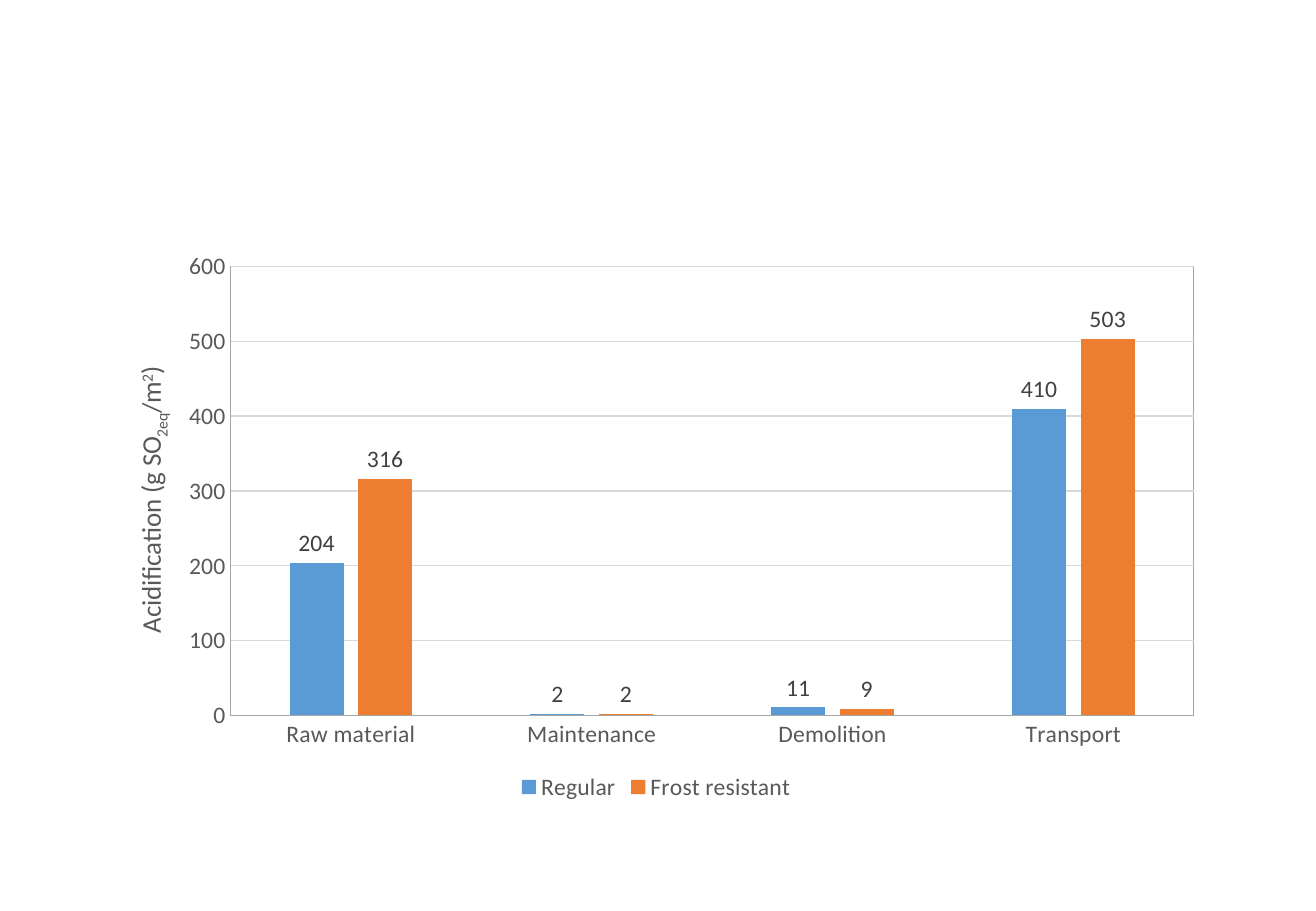
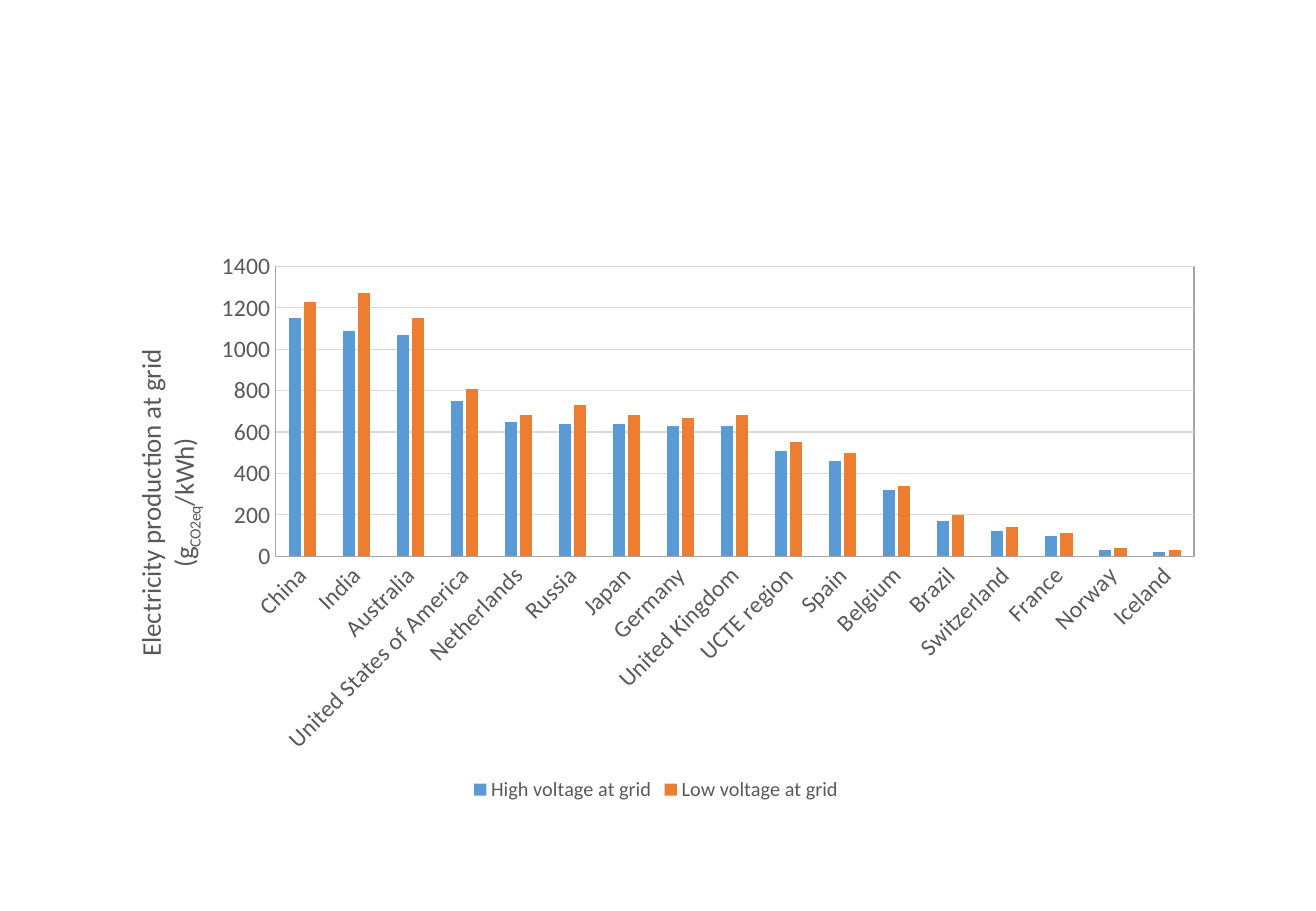
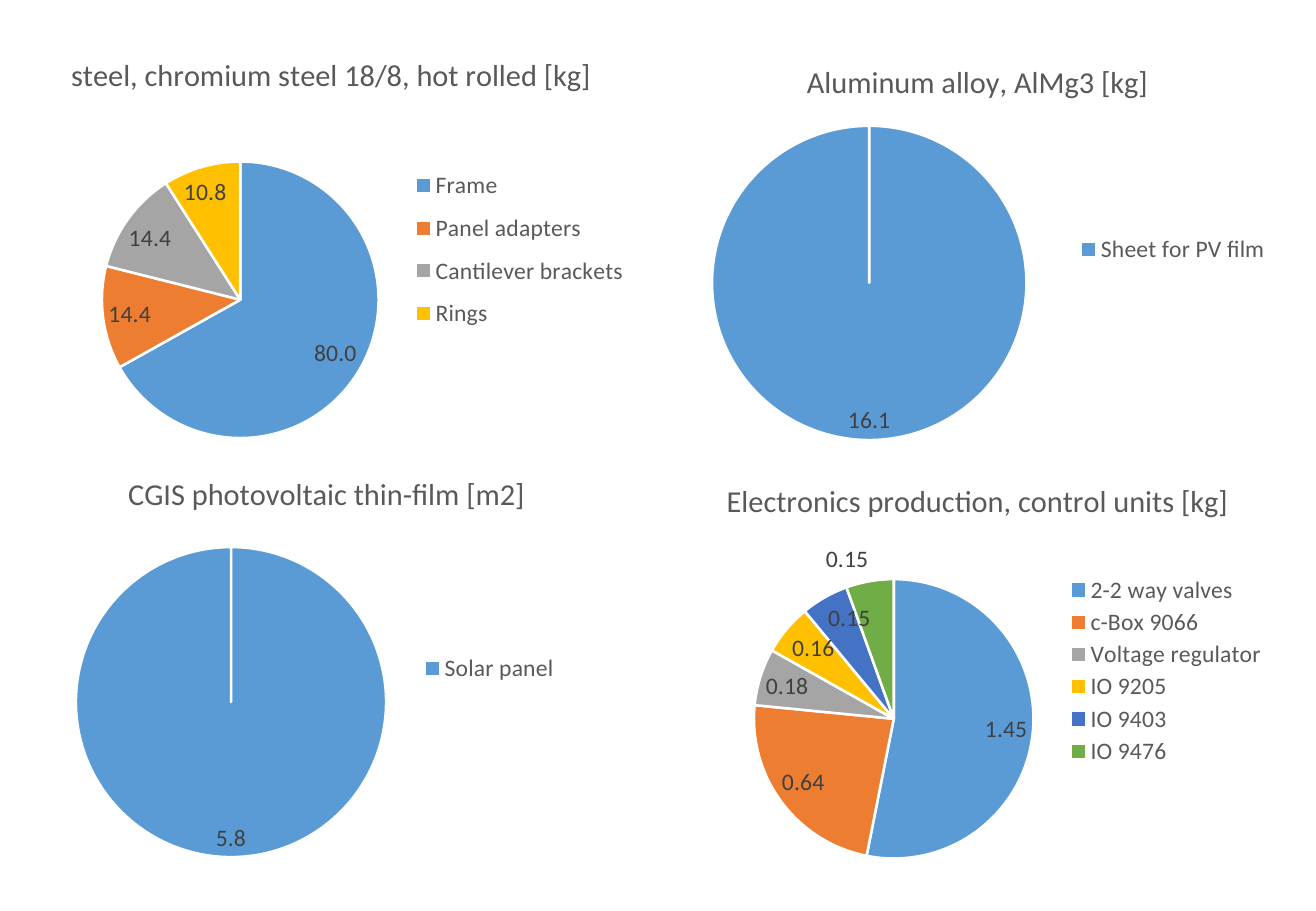
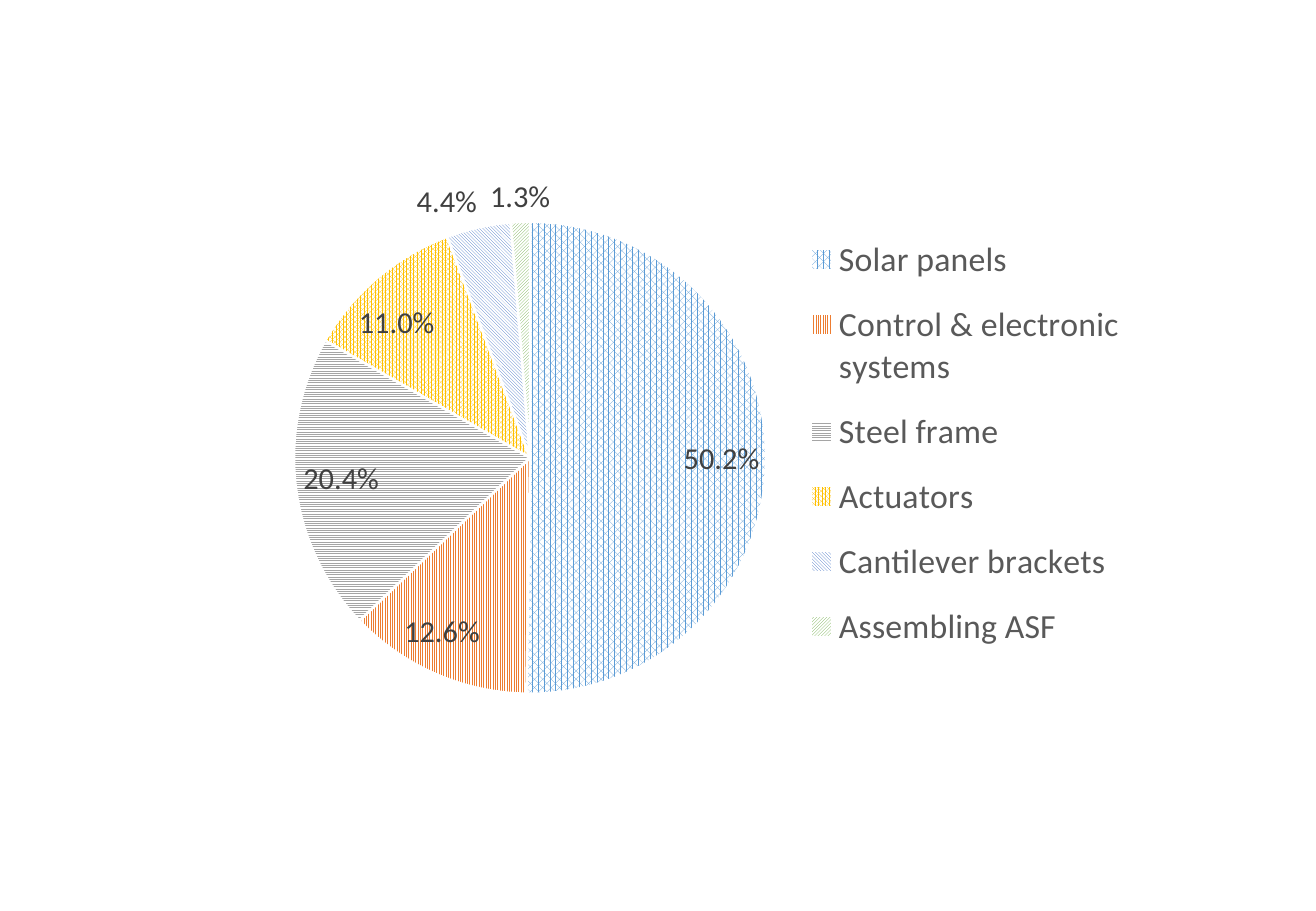
from dataclasses import dataclass

from pptx import Presentation
from pptx.chart.data import CategoryChartData
from pptx.dml.color import RGBColor
from pptx.enum.chart import (
    XL_CHART_TYPE as ChartType,
    XL_LABEL_POSITION as LabelPos,
    XL_LEGEND_POSITION as LegendPos,
    XL_TICK_MARK as Tick,
)
from pptx.enum.dml import MSO_PATTERN as Pattern
from pptx.oxml import parse_xml
from pptx.oxml.ns import nsdecls, qn
from pptx.util import Inches, Pt


@dataclass(frozen=True)
class Theme:
    """Colours, font and type sizes shared by all charts."""

    font: str = "Calibri"
    accents: tuple = ("5B9BD5", "ED7D31", "A5A5A5", "FFC000", "4472C4", "70AD47")
    text: str = "595959"
    label: str = "404040"
    axis: str = "A5A5A5"
    grid: str = "D9D9D9"
    white: str = "FFFFFF"
    base: int = 10
    small: int = 12
    normal: int = 14
    axis_title: int = 16
    title: int = 18
    large: int = 20


THEME = Theme()
SUB, SUP = -25000, 30000
COLUMN_BOX = (0.79, 1.96, 9.22, 4.68)
PATTERNS = (
    Pattern.PERCENT_70, Pattern.NARROW_VERTICAL, Pattern.NARROW_HORIZONTAL,
    Pattern.PERCENT_80, Pattern.DARK_DOWNWARD_DIAGONAL, Pattern.LIGHT_UPWARD_DIAGONAL,
)


def rgb(color):
    """Turn a hex string into a colour."""
    return RGBColor.from_string(color)


def style_font(font, size, color=THEME.text):
    """Set family, size and colour of a font."""
    font.name = THEME.font
    font.size = Pt(size)
    font.bold = False
    font.color.rgb = rgb(color)


def style_line(line, color, width=0.75):
    """Set colour and width of a line."""
    line.color.rgb = rgb(color)
    line.width = Pt(width)


def place(element, x, y, w=None, h=None):
    """Position a chart part by fractions of the chart area."""
    for old in element.findall(qn("c:layout")):
        element.remove(old)
    target = '<c:layoutTarget val="inner"/>' if element.tag == qn("c:plotArea") else ""
    modes = '<c:xMode val="edge"/><c:yMode val="edge"/>'
    sizes = (("x", x), ("y", y), ("w", w), ("h", h))
    values = "".join(f'<c:{k} val="{v}"/>' for k, v in sizes if v is not None)
    layout = parse_xml(
        f'<c:layout {nsdecls("c")}><c:manualLayout>{target}{modes}{values}'
        "</c:manualLayout></c:layout>"
    )
    leading = (qn("c:tx"), qn("c:legendPos"))
    element.insert(sum(child.tag in leading for child in element), layout)


def add_chart(slide, box, kind, cats, series, plot_box):
    """Add a chart in a box of inches and set its plot area."""
    data = CategoryChartData()
    data.categories = cats
    for name, vals in series:
        data.add_series(name, vals)
    chart = slide.shapes.add_chart(kind, *map(Inches, box), data).chart
    style_font(chart.font, THEME.base, "000000")
    chart.has_title = False
    place(chart._chartSpace.chart.plotArea, *plot_box)
    return chart


def add_legend(chart, position, size, box=None):
    """Show the legend, at a fixed place when a box is given."""
    chart.has_legend = True
    chart.legend.position = position
    chart.legend.include_in_layout = False
    style_font(chart.legend.font, size)
    if box:
        place(chart.legend._element, *box)


def add_labels(series, size, position, fmt):
    """Show the values of a series."""
    labels = series.data_labels
    labels.show_value = True
    labels.position = position
    labels.number_format = fmt
    labels.number_format_is_linked = False
    style_font(labels.font, size, THEME.label)


def add_axis_title(axis, lines, x, y):
    """Write a vertical axis title from lines of (text, baseline) runs."""
    axis.has_title = True
    tf = axis.axis_title.text_frame
    tf._txBody.bodyPr.set("rot", "-5400000")
    tf._txBody.bodyPr.set("vert", "horz")
    for i, line in enumerate(lines):
        p = tf.add_paragraph() if i else tf.paragraphs[0]
        for text, baseline in line:
            r = p.add_run()
            r.text = text
            style_font(r.font, THEME.axis_title)
            if baseline:
                r._r.get_or_add_rPr().set("baseline", str(baseline))
    place(axis.axis_title._element, x, y)


def style_axes(chart, top, step):
    """Format both axes, the gridlines and the plot border."""
    for axis in (chart.category_axis, chart.value_axis):
        axis.major_tick_mark = axis.minor_tick_mark = Tick.NONE
        style_font(axis.tick_labels.font, THEME.normal)
        style_line(axis.format.line, THEME.axis)
    axis = chart.value_axis
    axis.minimum_scale, axis.maximum_scale, axis.major_unit = 0, top, step
    axis.has_major_gridlines = True
    style_line(axis.major_gridlines.format.line, THEME.grid)
    chart._chartSpace.chart.plotArea.append(parse_xml(
        f'<c:spPr {nsdecls("c", "a")}><a:noFill/><a:ln w="9525"><a:solidFill>'
        f'<a:srgbClr val="{THEME.axis}"/></a:solidFill></a:ln></c:spPr>'
    ))


def column_chart(slide, box, cats, series, plot_box, scale, title, title_at,
                 legend_size, labels=False, tilt=False):
    """Draw a clustered column chart with a vertical axis title."""
    chart = add_chart(slide, box, ChartType.COLUMN_CLUSTERED, cats, series, plot_box)
    plot = chart.plots[0]
    plot.gap_width, plot.overlap, plot.vary_by_categories = 219, -27, False
    for s, color in zip(plot.series, THEME.accents):
        s.format.fill.solid()
        s.format.fill.fore_color.rgb = rgb(color)
        if labels:
            add_labels(s, THEME.normal, LabelPos.OUTSIDE_END, "General")
    style_axes(chart, *scale)
    if tilt:
        chart.category_axis._element.txPr.bodyPr.set("rot", "-2700000")
    add_axis_title(chart.value_axis, title, *title_at)
    add_legend(chart, LegendPos.BOTTOM, legend_size)


def pie_chart(slide, box, slices, plot_box, legend_box, fmt, title=None, title_x=None,
              label_size=THEME.normal, legend_size=THEME.normal, patterns=None, inside=()):
    """Draw a pie chart with value labels and a legend on the right."""
    chart = add_chart(slide, box, ChartType.PIE, list(slices),
                      [("Series 1", list(slices.values()))], plot_box)
    s = chart.plots[0].series[0]
    for i, color in enumerate(THEME.accents[:len(slices)]):
        look = s.points[i].format
        if patterns:
            look.fill.patterned()
            look.fill.pattern = patterns[i]
            look.fill.back_color.rgb = rgb(THEME.white)
        else:
            look.fill.solid()
        look.fill.fore_color.rgb = rgb(color)
        style_line(look.line, THEME.white, 1.5)
    add_labels(s, label_size, LabelPos.BEST_FIT, fmt)
    for i in inside:
        label = s.points[i].data_label
        style_font(label.font, label_size, THEME.label)
        label.position = LabelPos.INSIDE_END
    if title:
        chart.has_title = True
        r = chart.chart_title.text_frame.paragraphs[0].add_run()
        r.text = title
        style_font(r.font, THEME.title)
        if title_x is not None:
            place(chart.chart_title._element, title_x, 0.02)
    add_legend(chart, LegendPos.RIGHT, legend_size, legend_box)


def acidification_slide(slide):
    """Compare acidification by life cycle stage."""
    column_chart(
        slide, COLUMN_BOX,
        ["Raw material", "Maintenance", "Demolition", "Transport"],
        [("Regular", [204, 2, 11, 410]), ("Frost resistant", [316, 2, 9, 503])],
        (0.12, 0.05, 0.86, 0.79), (600, 100),
        [[("Acidification (g SO", 0), ("2eq", SUB), ("/m", 0), ("2", SUP), (")", 0)]],
        (0.03, 0.22), THEME.normal, labels=True,
    )


def electricity_slide(slide):
    """Compare electricity emissions by country."""
    countries = [
        "China", "India", "Australia", "United States of America", "Netherlands",
        "Russia", "Japan", "Germany", "United Kingdom", "UCTE region", "Spain",
        "Belgium", "Brazil", "Switzerland", "France", "Norway", "Iceland",
    ]
    high = [1150, 1090, 1070, 750, 650, 640, 640, 630, 630,
            510, 460, 320, 170, 120, 100, 30, 20]
    low = [1230, 1270, 1150, 810, 680, 730, 680, 670, 680,
           550, 500, 340, 200, 140, 110, 40, 30]
    column_chart(
        slide, COLUMN_BOX, countries,
        [("High voltage at grid", high), ("Low voltage at grid", low)],
        (0.16, 0.05, 0.82, 0.51), (1400, 200),
        [[("Electricity production at grid", 0)],
         [("(g", 0), ("CO2eq", SUB), ("/kWh)", 0)]],
        (0.03, 0.19), THEME.small, tilt=True,
    )


def materials_slide(slide):
    """Show four pies of material amounts."""
    w, h = 5.75, 3.45
    top, right = 0.33, 5.17
    bottom = top + h
    pie_chart(
        slide, (-0.15, top, w, h),
        {"Frame": 80, "Panel adapters": 14.4, "Cantilever brackets": 14.4, "Rings": 10.8},
        (0.17, 0.29, 0.4, 0.66), (0.61, 0.28, 0.32, 0.44), "0.0",
        "steel, chromium steel 18/8, hot rolled [kg]", 0.12,
    )
    pie_chart(
        slide, (right, top, w, h), {"Sheet for PV film": 16.1},
        (0.12, 0.2, 0.45, 0.76), (0.63, 0.45, 0.3, 0.1), "0.0",
        "Aluminum alloy, AlMg3 [kg]",
    )
    pie_chart(
        slide, (-0.37, bottom, w, h), {"Solar panel": 5.8},
        (0.17, 0.21, 0.45, 0.74), (0.64, 0.45, 0.25, 0.1), "0.0",
        "CGIS photovoltaic thin-film [m2]", 0.24,
    )
    pie_chart(
        slide, (right, bottom, w, h),
        {"2-2 way valves": 1.45, "c-Box 9066": 0.64, "Voltage regulator": 0.18,
         "IO 9205": 0.16, "IO 9403": 0.15, "IO 9476": 0.15},
        (0.18, 0.28, 0.4, 0.68), (0.62, 0.27, 0.3, 0.47), "0.00",
        "Electronics production, control units [kg]", inside=(3, 4),
    )


def shares_slide(slide):
    """Show the share of each component as a patterned pie."""
    pie_chart(
        slide, (1.81, 1.34, 7.62, 4.81),
        {"Solar panels": 0.502, "Control & electronic systems": 0.126,
         "Steel frame": 0.204, "Actuators": 0.11,
         "Cantilever brackets": 0.044, "Assembling ASF": 0.013},
        (0.08, 0.1, 0.51, 0.81), (0.63, 0.09, 0.35, 0.78), "0.0%",
        label_size=THEME.title, legend_size=THEME.large, patterns=PATTERNS,
    )


def main():
    """Build and save the presentation."""
    prs = Presentation()
    prs.slide_width, prs.slide_height = Inches(10.83), Inches(7.5)
    for build in (acidification_slide, electricity_slide, materials_slide, shares_slide):
        build(prs.slides.add_slide(prs.slide_layouts[6]))
    prs.save("out.pptx")


if __name__ == "__main__":
    main()
